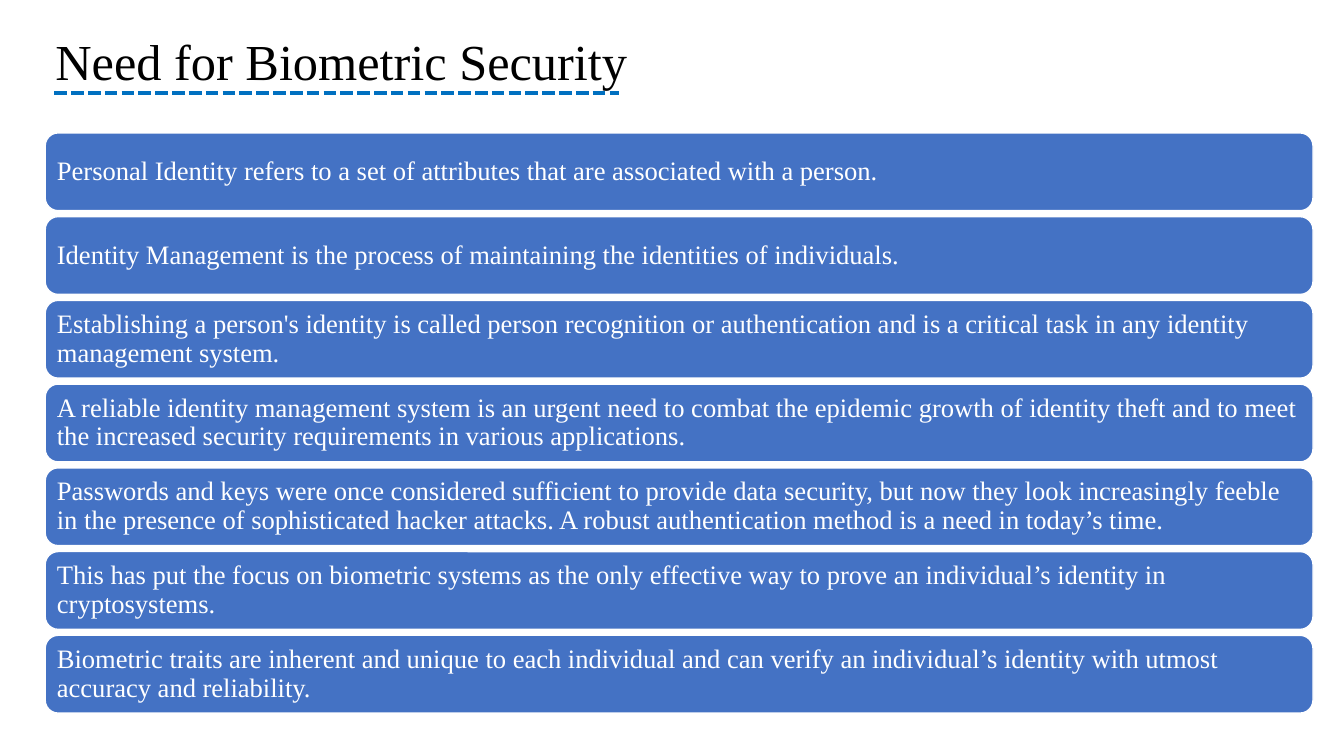
"""Build the slide on the need for biometric security."""
from lxml.etree import SubElement
from pptx import Presentation
from pptx.dml.color import RGBColor
from pptx.enum.dml import MSO_LINE
from pptx.enum.shapes import MSO_CONNECTOR, MSO_SHAPE
from pptx.enum.text import MSO_ANCHOR, PP_ALIGN
from pptx.oxml.ns import qn
from pptx.util import Cm, Pt

BLACK = RGBColor(0x00, 0x00, 0x00)
WHITE = RGBColor(0xFF, 0xFF, 0xFF)
BAR_BLUE = RGBColor(0x44, 0x72, 0xC4)
DASH_BLUE = RGBColor(0x00, 0x70, 0xC0)

LEFT, WIDTH = Cm(1.14), Cm(31.95)
FIRST_TOP, BAR_HEIGHT, PITCH = Cm(3.35), Cm(1.96), Cm(2.11)
INSET = Cm(0.2)

REASONS = [
    "Personal Identity refers to a set of attributes that are associated with a person.",
    "Identity Management is the process of maintaining the identities of individuals.",
    "Establishing a person's identity is called person recognition or authentication "
    "and is a critical task in any identity management system.",
    "A reliable identity management system is an urgent need to combat the epidemic growth "
    "of identity theft and to meet the increased security requirements in various applications.",
    "Passwords and keys were once considered sufficient to provide data security, but now they "
    "look increasingly feeble in the presence of sophisticated hacker attacks. "
    "A robust authentication method is a need in today’s time.",
    "This has put the focus on biometric systems as the only effective way to prove "
    "an individual’s identity in cryptosystems.",
    "Biometric traits are inherent and unique to each individual and can verify "
    "an individual’s identity with utmost accuracy and reliability.",
]


def write(holder, text, size, color, frame_format):
    """Fill a shape with one left-aligned, vertically centred paragraph."""
    frame = holder.text_frame
    frame.text = text
    for name, value in frame_format.items():
        setattr(frame, name, value)
    paragraph = frame.paragraphs[0]
    paragraph.alignment = PP_ALIGN.LEFT
    paragraph.line_spacing = 0.9
    font = paragraph.runs[0].font
    for name, value in {"name": "Times New Roman", "size": Pt(size)}.items():
        setattr(font, name, value)
    font.color.rgb = color


deck = Presentation()
deck.slide_width, deck.slide_height = Cm(33.87), Cm(19.05)
slide = deck.slides.add_slide(deck.slide_layouts[5])

centred = {"word_wrap": True, "vertical_anchor": MSO_ANCHOR.MIDDLE}
margins = {f"margin_{side}": INSET for side in ("left", "top", "right", "bottom")}

heading = slide.shapes.title
for name, value in {"left": LEFT, "top": Cm(0.61), "width": WIDTH, "height": Cm(2.03)}.items():
    setattr(heading, name, value)
write(heading, "Need for Biometric Security", 36, BLACK, centred)

for row, reason in enumerate(REASONS):
    bar = slide.shapes.add_shape(
        MSO_SHAPE.ROUNDED_RECTANGLE, LEFT, FIRST_TOP + row * PITCH, WIDTH, BAR_HEIGHT)
    bar.shadow.inherit = False
    bar.fill.solid()
    bar.fill.fore_color.rgb = BAR_BLUE
    bar.line.color.rgb = WHITE
    bar.line.width = Pt(1)
    write(bar, reason, 19, WHITE, centred | margins)

underline = slide.shapes.add_connector(
    MSO_CONNECTOR.STRAIGHT, Cm(1.37), Cm(2.34), Cm(15.6), Cm(2.34))
underline.line.color.rgb = DASH_BLUE
underline.line.width = Pt(3)
underline.line.dash_style = MSO_LINE.SQUARE_DOT
SubElement(underline._element.spPr, qn("a:effectLst"))

deck.save("out.pptx")
